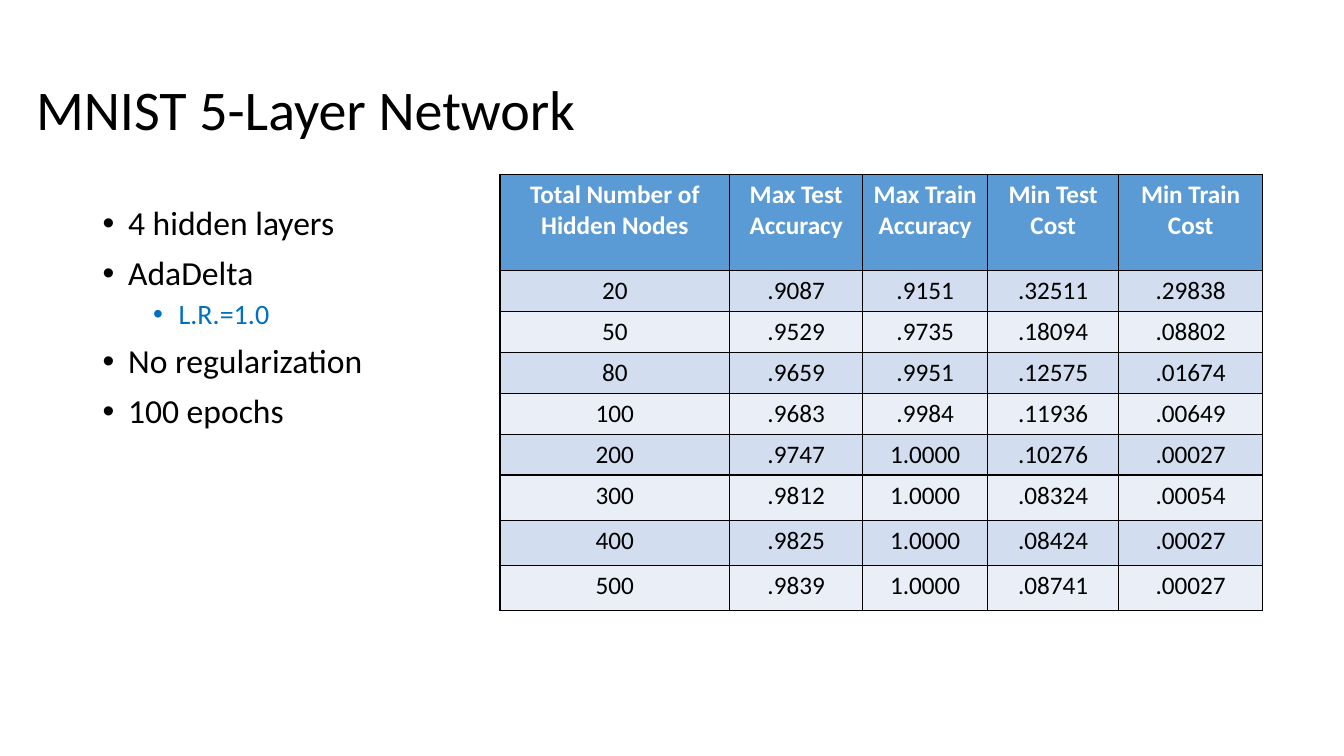
from dataclasses import dataclass

from lxml import etree
from pptx import Presentation
from pptx import util as u
from pptx.dml import color
from pptx.enum import text
from pptx.oxml import ns


@dataclass(frozen=True)
class Theme:
    font: str = "Calibri"
    ink: str = "000000"
    white: str = "FFFFFF"
    accent: str = "0070C0"
    head: str = "5B9BD5"
    bands: tuple = ("D2DEEF", "EAEFF7")
    title: int = 40
    body: int = 24
    sub: int = 20
    cell: int = 18


THEME = Theme()

POINTS = [
    ("4 hidden layers", 0),
    ("AdaDelta", 0),
    ("L.R.=1.0", 1),
    ("No regularization", 0),
    ("100 epochs", 0),
]

HEADS = ["Total Number of Hidden Nodes", "Max Test Accuracy",
         "Max Train Accuracy", "Min Test Cost", "Min Train Cost"]
SCORES = [
    ("20", ".9087", ".9151", ".32511", ".29838"),
    ("50", ".9529", ".9735", ".18094", ".08802"),
    ("80", ".9659", ".9951", ".12575", ".01674"),
    ("100", ".9683", ".9984", ".11936", ".00649"),
    ("200", ".9747", "1.0000", ".10276", ".00027"),
    ("300", ".9812", "1.0000", ".08324", ".00054"),
    ("400", ".9825", "1.0000", ".08424", ".00027"),
    ("500", ".9839", "1.0000", ".08741", ".00027"),
]
WIDTHS = [5.79, 3.35, 3.15, 3.3, 3.63]
HEIGHTS = [2.43] + [1.03] * 5 + [1.14] * 3


def style(para, size, tone, bold=False):
    for run in para.runs:
        run.font.name = THEME.font
        run.font.size = u.Pt(size)
        run.font.bold = bold
        run.font.color.rgb = color.RGBColor.from_string(tone)


def add_text(slide, box):
    frame = slide.shapes.add_textbox(*map(u.Cm, box)).text_frame
    frame.word_wrap = True
    return frame


def add_title(slide, box):
    frame = add_text(slide, box)
    frame.vertical_anchor = text.MSO_ANCHOR.MIDDLE
    frame.text = "MNIST 5-Layer Network"
    para = frame.paragraphs[0]
    para.line_spacing = 0.9
    style(para, THEME.title, THEME.ink)


def add_points(slide, box):
    frame = add_text(slide, box)
    frame.text = "\n".join(label for label, level in POINTS)
    for row, (para, (label, level)) in enumerate(zip(frame.paragraphs, POINTS)):
        props = para._p.get_or_add_pPr()
        props.set("marL", str(u.Cm(1.91 if level else 0.64)))
        props.set("indent", str(u.Cm(-0.64)))
        etree.SubElement(props, ns.qn("a:buFont"), typeface="Arial")
        etree.SubElement(props, ns.qn("a:buChar"), char="•")
        para.level = level
        para.line_spacing = 0.9
        if row:
            para.space_before = u.Pt(5 if level else 10)
        style(para, THEME.sub if level else THEME.body,
              THEME.accent if level else THEME.ink)


def add_edges(cell):
    props = cell._tc.get_or_add_tcPr()
    for side in ("lnL", "lnR", "lnT", "lnB"):
        line = etree.SubElement(props, ns.qn("a:" + side), w=str(u.Pt(1)))
        fill = etree.SubElement(line, ns.qn("a:solidFill"))
        etree.SubElement(fill, ns.qn("a:srgbClr"), val=THEME.ink)


def add_scores(slide, left, top):
    rows = [HEADS] + SCORES
    frame = slide.shapes.add_table(
        len(rows), len(HEADS), u.Cm(left), u.Cm(top),
        u.Cm(sum(WIDTHS)), u.Cm(sum(HEIGHTS)))
    table = frame.table
    for col, width in zip(table.columns, WIDTHS):
        col.width = u.Cm(width)
    for row, (line, height) in enumerate(zip(rows, HEIGHTS)):
        table.rows[row].height = u.Cm(height)
        back = THEME.bands[(row - 1) % 2] if row else THEME.head
        for col, label in enumerate(line):
            cell = table.cell(row, col)
            add_edges(cell)
            cell.fill.solid()
            cell.fill.fore_color.rgb = color.RGBColor.from_string(back)
            cell.text_frame.text = label
            para = cell.text_frame.paragraphs[0]
            para.alignment = text.PP_ALIGN.CENTER
            style(para, THEME.cell, THEME.ink if row else THEME.white, not row)


def main():
    deck = Presentation()
    deck.slide_width = u.Cm(33.87)
    deck.slide_height = u.Cm(19.05)
    slide = deck.slides.add_slide(deck.slide_layouts[6])
    add_title(slide, (0.66, 0.99, 29.21, 3.68))
    add_scores(slide, 12.6, 4.39)
    add_points(slide, (2.34, 5.08, 8.61, 8.56))
    deck.save("out.pptx")


if __name__ == "__main__":
    main()
